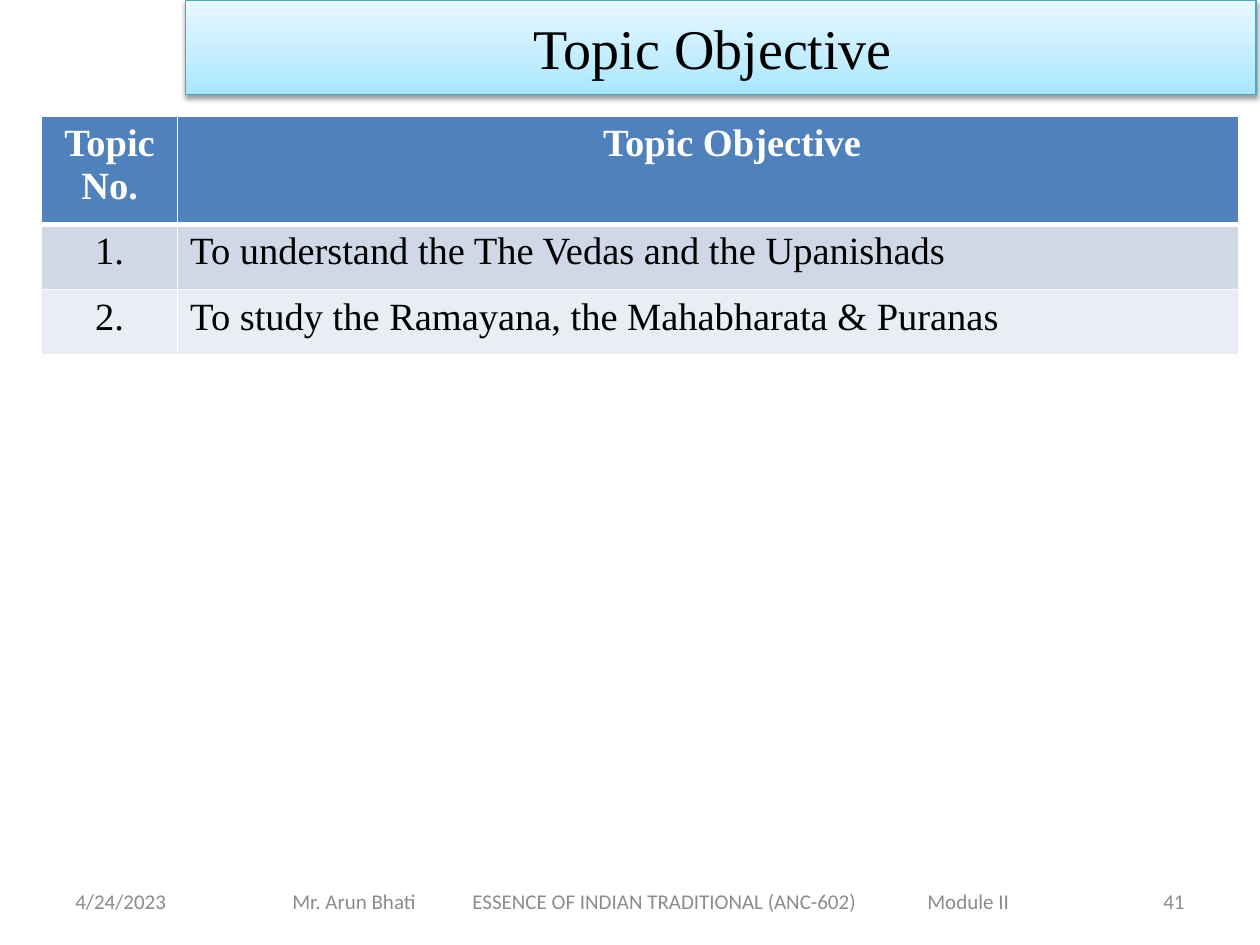
from lxml.etree import SubElement
from pptx import Presentation
from pptx.dml.color import RGBColor
from pptx.enum.shapes import MSO_SHAPE
from pptx.enum.text import MSO_ANCHOR, PP_ALIGN
from pptx.oxml.ns import qn
from pptx.util import Inches, Pt

SERIF = "Times New Roman"
OBJECTIVES = [
    ("Topic No.", "Topic Objective"),
    ("1.", "To understand the The Vedas and the Upanishads"),
    ("2.", "To study the Ramayana, the Mahabharata & Puranas"),
]
ROW_FILLS = ["4F81BD", "D0D8E8", "E9EDF4"]


def color(hex_code):
    return RGBColor.from_string(hex_code)


def write(frame, text, *, size, ink="000000", font=SERIF, bold=False,
          align=PP_ALIGN.LEFT, tabs=()):
    frame.word_wrap = True
    paragraph = frame.paragraphs[0]
    paragraph.text = text
    paragraph.alignment = align
    if tabs:
        tab_list = SubElement(paragraph._p.get_or_add_pPr(), qn("a:tabLst"))
        for position in tabs:
            SubElement(tab_list, qn("a:tab"), pos=str(Inches(position)), algn="l")
    run_font = paragraph.runs[0].font
    run_font.name = font
    run_font.size = Pt(size)
    run_font.bold = bold
    run_font.color.rgb = color(ink)


def add_color(parent, hex_code):
    return SubElement(parent, qn("a:srgbClr"), val=hex_code)


def add_banner(slide, left, top, width, height):
    banner = slide.shapes.add_shape(MSO_SHAPE.RECTANGLE, left, top, width, height)
    banner.line.color.rgb = color("46AAC5")
    banner.line.width = Pt(0.75)

    banner.fill.gradient()
    banner.fill.gradient_angle = 90
    stops = banner._element.spPr.find(qn("a:gradFill")).find(qn("a:gsLst"))
    for stop in list(stops):
        stops.remove(stop)
    for percent, hex_code in [(0, "A7E6FF"), (35, "C1EDFF"), (100, "E7F8FF")]:
        add_color(SubElement(stops, qn("a:gs"), pos=str(percent * 1000)), hex_code)

    banner.shadow.inherit = False
    effects = banner._element.spPr.find(qn("a:effectLst"))
    shadow = SubElement(effects, qn("a:outerShdw"), blurRad=str(Pt(3.1)),
                        dist=str(Pt(1.6)), dir="5400000", rotWithShape="0")
    SubElement(add_color(shadow, "000000"), qn("a:alpha"), val="38000")

    frame = banner.text_frame
    frame.vertical_anchor = MSO_ANCHOR.MIDDLE
    frame.margin_right = Inches(0.22)
    write(frame, "Topic Objective", size=32, align=PP_ALIGN.CENTER)


def set_borders(cell, **widths):
    properties = cell._tc.get_or_add_tcPr()
    for side in "LRTB":
        line = SubElement(properties, qn(f"a:ln{side}"), w=str(Pt(widths.get(side, 1))))
        add_color(SubElement(line, qn("a:solidFill")), "FFFFFF")


def add_objectives(slide, left, top, width, height):
    table = slide.shapes.add_table(len(OBJECTIVES), 2, left, top, width, height).table
    number_width = Inches(1.08)
    body_height = Inches(0.52)
    table.columns[0].width = number_width
    table.columns[1].width = width - number_width
    for row_index, (row, entries) in enumerate(zip(table.rows, OBJECTIVES)):
        is_header = row_index == 0
        row.height = height - 2 * body_height if is_header else body_height
        for column, (cell, entry) in enumerate(zip(row.cells, entries)):
            set_borders(cell, T=3 if row_index == 1 else 1, B=3 if is_header else 1)
            cell.fill.solid()
            cell.fill.fore_color.rgb = color(ROW_FILLS[row_index])
            centred = is_header or column == 0
            write(cell.text_frame, entry, size=22, bold=is_header,
                  ink="FFFFFF" if is_header else "000000",
                  align=PP_ALIGN.CENTER if centred else PP_ALIGN.LEFT)
    table.cell(0, 1).margin_left = Inches(0.48)


def add_footer(slide, left, top, width, height):
    side_width = Inches(2.33)
    parts = [
        ("4/24/2023", left, side_width, 0.1, PP_ALIGN.LEFT, ()),
        ("Mr. Arun Bhati\tESSENCE OF INDIAN TRADITIONAL (ANC-602)\tModule II",
         Inches(1.75), Inches(6.83), 0.57, PP_ALIGN.LEFT, (1.43, 5.04)),
        ("41", left + width - side_width, side_width, 0.1, PP_ALIGN.RIGHT, ()),
    ]
    for text, part_left, part_width, margin, align, tabs in parts:
        frame = slide.shapes.add_textbox(part_left, top, part_width, height).text_frame
        frame.vertical_anchor = MSO_ANCHOR.MIDDLE
        frame.margin_left = Inches(margin)
        write(frame, text, size=12, ink="8C8C8C", font="Calibri", align=align, tabs=tabs)


def main():
    deck = Presentation()
    deck.slide_width = Inches(10)
    deck.slide_height = Inches(7.5)
    slide = deck.slides.add_slide(deck.slide_layouts[6])
    add_footer(slide, Inches(0.5), Inches(6.95), Inches(9), Inches(0.4))
    add_banner(slide, Inches(1.47), Inches(0), Inches(8.5), Inches(0.75))
    add_objectives(slide, Inches(0.33), Inches(0.92), Inches(9.5), Inches(1.9))
    deck.save("out.pptx")


if __name__ == "__main__":
    main()
